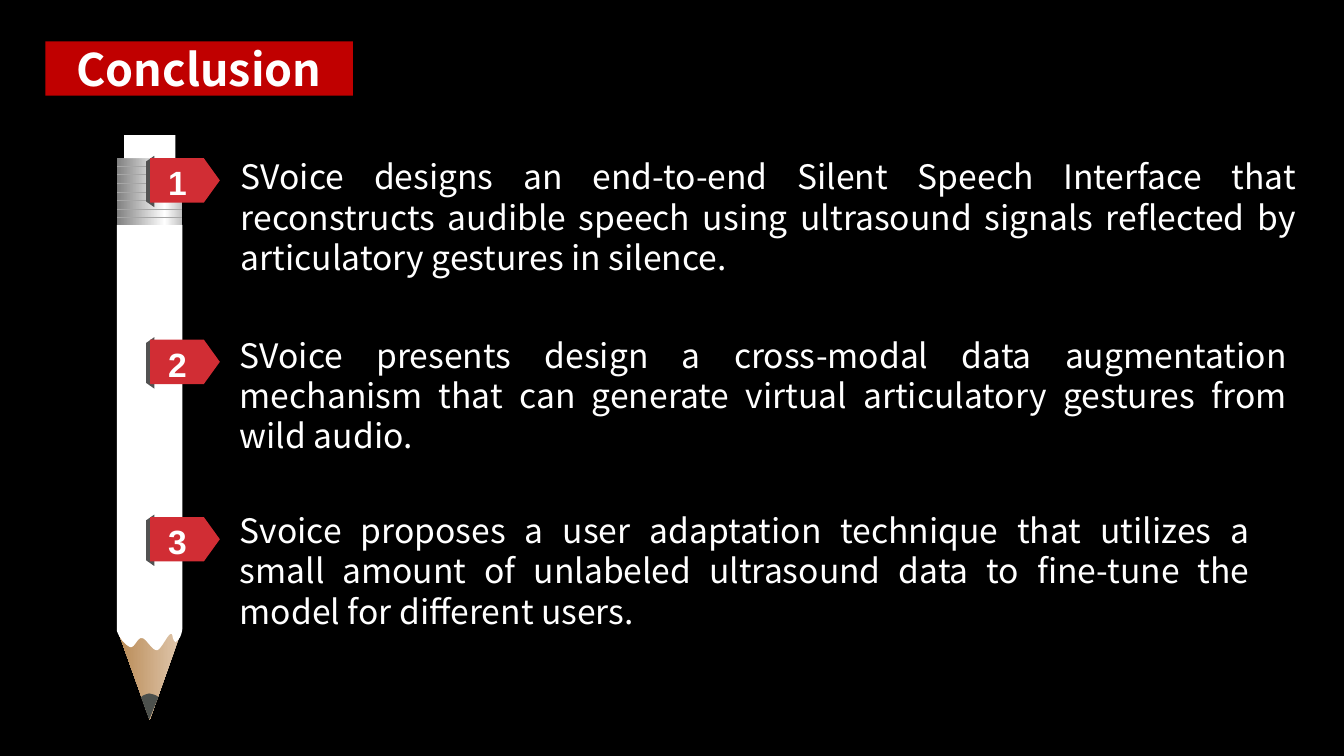
from lxml import etree
from pptx import Presentation
from pptx.dml.color import RGBColor
from pptx.enum.shapes import MSO_CONNECTOR, MSO_SHAPE
from pptx.enum.text import MSO_ANCHOR, MSO_AUTO_SIZE, PP_ALIGN
from pptx.oxml import parse_xml
from pptx.oxml.ns import nsdecls, qn
from pptx.util import Inches, Pt

RECTANGLE, ARROW_TAG, TRAPEZOID = MSO_SHAPE.RECTANGLE, MSO_SHAPE.PENTAGON, MSO_SHAPE.TRAPEZOID
STRAIGHT = MSO_CONNECTOR.STRAIGHT
CENTER, JUSTIFY = PP_ALIGN.CENTER, PP_ALIGN.JUSTIFY
MIDDLE, FIT_SHAPE = MSO_ANCHOR.MIDDLE, MSO_AUTO_SIZE.SHAPE_TO_FIT_TEXT

TITLE = "Conclusion"
# statement, text left, text top, text width, tag top
POINTS = [
    ("SVoice designs an end-to-end Silent Speech Interface that reconstructs audible "
     "speech using ultrasound signals reflected by articulatory gestures in silence.",
     2.29, 1.5, 10.66, 1.57),
    ("SVoice presents design a cross-modal data augmentation mechanism that can "
     "generate virtual articulatory gestures from wild audio.",
     2.28, 3.27, 10.58, 3.37),
    ("Svoice proposes a user adaptation technique that utilizes a small amount of "
     "unlabeled ultrasound data to fine-tune the model for different users.",
     2.28, 5.01, 10.21, 5.13),
]


class Theme:
    background, text = "000000", "FFFFFF"
    banner, tag, tag_fold = "C00000", "D12D34", "525252"
    pencil, lead, groove = "FFFFFF", "4C504C", "A6A6A6"
    wood = [(0, "E1C9AF"), (100, "B88954")]
    ferrule = [(0, "BFBFBF"), (27, "FFFFFF"), (100, "808080")]
    font, number_font = "Noto Sans CJK SC", "Arial"
    title_size, body_size, groove_width = 32, 24, 0.5


WIDTH, HEIGHT = 13.33, 7.5
PENCIL_LEFT, PENCIL_RIGHT = 1.16, 1.81
PENCIL_WIDTH = PENCIL_RIGHT - PENCIL_LEFT
FERRULE_TOP, BARREL_TOP, BARREL_BOTTOM, TIP = 1.57, 2.23, 6.23, 7.14
ERASER_WIDTH, ERASER_HEIGHT = 0.51, 0.23
GROOVES, GROOVE_TOP, GROOVE_STEP = 7, 1.65, 0.085
TAG_LEFT, TAG_WIDTH, TAG_HEIGHT = 1.49, 0.69, 0.44
FOLD_LENGTH, FOLD_DEPTH, FOLD_DROP = 0.51, 0.08, 0.23
NUMBER_LEFT, NUMBER_WIDTH, NUMBER_HEIGHT, NUMBER_RISE = 1.54, 0.44, 0.54, 0.09
CURVE_STEPS = 8

# Each outline step holds one end point, or two control points and an end point
BARREL = [
    [(PENCIL_LEFT, BARREL_TOP)], [(PENCIL_RIGHT, BARREL_TOP)], [(PENCIL_RIGHT, BARREL_BOTTOM)],
    [(1.8, 6.32), (1.77, 6.35), (1.74, 6.37)],
    [(1.7, 6.34), (1.72, 6.27), (1.69, 6.29)],
    [(1.66, 6.3), (1.6, 6.44), (1.56, 6.45)],
    [(1.51, 6.46), (1.45, 6.33), (1.41, 6.33)],
    [(1.36, 6.32), (1.34, 6.43), (1.29, 6.42)],
    [(1.23, 6.39), (1.18, 6.32), (1.16, 6.26)],
]
LEAD = [
    [(1.48, 6.88)],
    [(1.53, 6.89), (1.56, 6.9), (1.57, 6.92)],
    [(1.48, TIP)], [(1.4, 6.92)],
    [(1.41, 6.9), (1.44, 6.89), (1.48, 6.88)],
]


def color(value):
    return RGBColor.from_string(value)


def paint(shape, fill):
    shape.shadow.inherit = False
    shape.line.fill.background()
    shape.fill.solid()
    shape.fill.fore_color.rgb = color(fill)


def paint_gradient(shape, stops, angle):
    """Replace the solid fill by a linear gradient, angle in clockwise degrees."""
    paint(shape, stops[0][1])
    gradient = parse_xml(f'<a:gradFill {nsdecls("a")} rotWithShape="1"><a:gsLst/>'
                         f'<a:lin ang="{angle * 60000}" scaled="0"/></a:gradFill>')
    for position, value in stops:
        stop = etree.SubElement(gradient[0], qn("a:gs"), pos=str(position * 1000))
        etree.SubElement(stop, qn("a:srgbClr"), val=value)
    properties = shape._element.spPr
    properties.replace(properties.find(qn("a:solidFill")), gradient)


def add_block(shapes, kind, left, top, width, height, fill):
    shape = shapes.add_shape(kind, Inches(left), Inches(top), Inches(width), Inches(height))
    paint(shape, fill)
    return shape


def trace(outline):
    """Turn an outline with cubic curves into a list of points."""
    points = []
    for step in outline:
        if len(step) == 1:
            points += step
            continue
        corners = [points[-1], *step]
        for index in range(1, CURVE_STEPS + 1):
            t = index / CURVE_STEPS
            weights = ((1 - t) ** 3, 3 * t * (1 - t) ** 2, 3 * t ** 2 * (1 - t), t ** 3)
            points.append(tuple(sum(weight * corner[axis] for weight, corner in zip(weights, corners))
                                for axis in (0, 1)))
    return [(Inches(x), Inches(y)) for x, y in points]


def add_outline(shapes, outline, fill):
    start, *rest = trace(outline)
    builder = shapes.build_freeform(*start)
    builder.add_line_segments(rest, close=True)
    paint(builder.convert_to_shape(), fill)


def write(frame, text, font, size, align, bold=False):
    frame.word_wrap = True
    frame.text = text
    para = frame.paragraphs[0]
    para.alignment = align
    span = para.runs[0].font
    span.name, span.size, span.bold = font, Pt(size), bold
    span.color.rgb = color(Theme.text)
    return para


def add_text(shapes, left, top, width, height, *style, **options):
    box = shapes.add_textbox(Inches(left), Inches(top), Inches(width), Inches(height))
    box.text_frame.auto_size = FIT_SHAPE
    return write(box.text_frame, *style, **options)


def add_title(page):
    title = page.shapes.title
    title.left, title.top, title.width, title.height = map(Inches, (0.45, 0.41, 3.05, 0.54))
    title.fill.solid()
    title.fill.fore_color.rgb = color(Theme.banner)
    frame = title.text_frame
    frame.margin_left = frame.margin_right = frame.margin_top = frame.margin_bottom = 0
    frame.vertical_anchor = MIDDLE
    write(frame, TITLE, Theme.font, Theme.title_size, CENTER, bold=True)


def add_pencil(page):
    shapes = page.shapes.add_group_shape().shapes
    middle = (PENCIL_LEFT + PENCIL_RIGHT) / 2
    length = TIP - BARREL_BOTTOM
    wood = add_block(shapes, ARROW_TAG, middle - length / 2,
                     (BARREL_BOTTOM + TIP - PENCIL_WIDTH) / 2, length, PENCIL_WIDTH, Theme.lead)
    wood.adjustments[0] = length / PENCIL_WIDTH
    wood.rotation = 90
    paint_gradient(wood, Theme.wood, 90)
    add_outline(shapes, BARREL, Theme.pencil)
    ferrule = add_block(shapes, RECTANGLE, PENCIL_LEFT, FERRULE_TOP, PENCIL_WIDTH,
                        BARREL_TOP - FERRULE_TOP, Theme.groove)
    paint_gradient(ferrule, Theme.ferrule, 180)
    add_block(shapes, RECTANGLE, middle - ERASER_WIDTH / 2, FERRULE_TOP - ERASER_HEIGHT,
              ERASER_WIDTH, ERASER_HEIGHT, Theme.pencil)
    add_outline(shapes, LEAD, Theme.lead)
    for index in range(GROOVES):
        y = Inches(GROOVE_TOP + index * GROOVE_STEP)
        groove = shapes.add_connector(STRAIGHT, Inches(PENCIL_LEFT), y, Inches(PENCIL_RIGHT), y)
        groove.line.color.rgb = color(Theme.groove)
        groove.line.width = Pt(Theme.groove_width)
        etree.SubElement(groove._element.spPr, qn("a:effectLst"))


def add_point(page, number, statement, left, top, width, tag_top):
    shapes = page.shapes
    fold = add_block(shapes, TRAPEZOID, TAG_LEFT - FOLD_LENGTH / 2,
                     tag_top + FOLD_DROP - FOLD_DEPTH / 2, FOLD_LENGTH, FOLD_DEPTH, Theme.tag_fold)
    fold.adjustments[0] = 0.7
    fold.rotation = 270
    tag = add_block(shapes, ARROW_TAG, TAG_LEFT, tag_top, TAG_WIDTH, TAG_HEIGHT, Theme.tag)
    tag.adjustments[0] = 0.36
    label = add_text(shapes, NUMBER_LEFT, tag_top - NUMBER_RISE, NUMBER_WIDTH, NUMBER_HEIGHT,
                     str(number), Theme.number_font, Theme.body_size, CENTER, bold=True)
    label.line_spacing = 1.2
    add_text(shapes, left, top, width, 1.31, statement, Theme.font, Theme.body_size, JUSTIFY)


def main():
    deck = Presentation()
    deck.slide_width, deck.slide_height = Inches(WIDTH), Inches(HEIGHT)
    page = deck.slides.add_slide(deck.slide_layouts.get_by_name("Title Only"))
    page.background.fill.solid()
    page.background.fill.fore_color.rgb = color(Theme.background)
    add_title(page)
    add_pencil(page)
    for number, point in enumerate(POINTS, 1):
        add_point(page, number, *point)
    deck.save("out.pptx")


if __name__ == "__main__":
    main()
